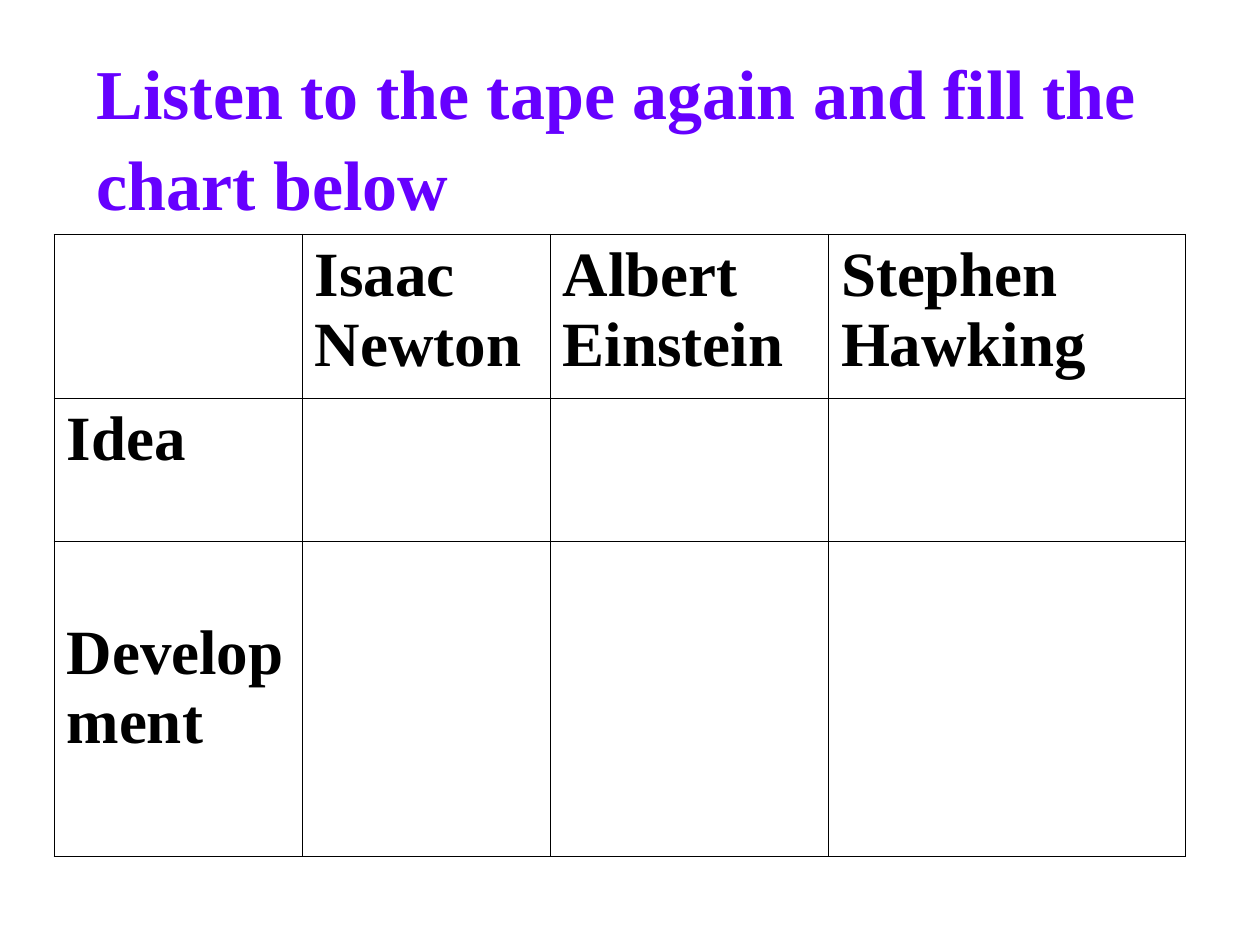
from lxml import etree
from pptx import Presentation
from pptx.dml.color import RGBColor
from pptx.oxml.ns import qn
from pptx.util import Cm, Pt

BLANK_LAYOUT = 6
BORDER_TAGS = ("a:lnL", "a:lnR", "a:lnT", "a:lnB")


def colour(hex_text):
    return RGBColor.from_string(hex_text)


class SlideBuilder:
    """Holds the text style and the slide being filled."""

    font_name = "Times New Roman"
    title_colour = "6600FF"
    table_colour = "000000"
    title_size = 40
    table_size = 36
    border_width = 0.45

    def __init__(self, slide):
        self.slide = slide

    def style(self, paragraph, size, hex_text):
        font = paragraph.font
        font.name = self.font_name
        font.size = Pt(size)
        font.bold = True
        font.color.rgb = colour(hex_text)

    def title(self, lines, left, top, width, height):
        shape = self.slide.shapes.add_textbox(Cm(left), Cm(top), Cm(width), Cm(height))
        frame = shape.text_frame
        frame.word_wrap = True
        frame.margin_top = Cm(0.28)
        frame.text = "\n".join(lines)
        for index, paragraph in enumerate(frame.paragraphs):
            self.style(paragraph, self.title_size, self.title_colour)
            if index:
                paragraph.space_before = Pt(4)

    def border(self, cell):
        """Draw a thin solid line on all four sides of the cell."""
        properties = cell._tc.get_or_add_tcPr()
        for position, tag in enumerate(BORDER_TAGS):
            line = etree.Element(qn(tag), w=str(Pt(self.border_width)))
            fill = etree.SubElement(line, qn("a:solidFill"))
            etree.SubElement(fill, qn("a:srgbClr"), val=self.table_colour)
            properties.insert(position, line)

    def table(self, rows, left, top, column_widths, row_heights):
        frame = self.slide.shapes.add_table(
            len(rows), len(column_widths), Cm(left), Cm(top),
            Cm(sum(column_widths)), Cm(sum(row_heights)))
        table = frame.table
        table.first_row = False
        table.horz_banding = False
        for column, width in zip(table.columns, column_widths):
            column.width = Cm(width)
        for row, height, texts in zip(table.rows, row_heights, rows):
            row.height = Cm(height)
            for cell, text in zip(row.cells, texts):
                cell.text = text
                cell.fill.background()
                self.border(cell)
                self.style(cell.text_frame.paragraphs[0], self.table_size, self.table_colour)
        return table


def main():
    presentation = Presentation()
    presentation.slide_width = Cm(25.4)
    presentation.slide_height = Cm(19.05)
    layout = presentation.slide_layouts[BLANK_LAYOUT]
    builder = SlideBuilder(presentation.slides.add_slide(layout))

    builder.title(["Listen to the tape again and fill the", "chart below"],
                  1.7, 0.71, 21.8, 4.8)
    rows = [
        ["", "Isaac Newton", "Albert Einstein", "Stephen Hawking"],
        ["Idea", "", "", ""],
        ["Development", "", "", ""],
    ]
    table = builder.table(rows, 1.09, 4.72, [5, 5, 5.61, 7.2], [3.3, 2.9, 6.35])
    table.cell(2, 0).margin_top = Cm(1.54)

    presentation.save("out.pptx")


if __name__ == "__main__":
    main()
